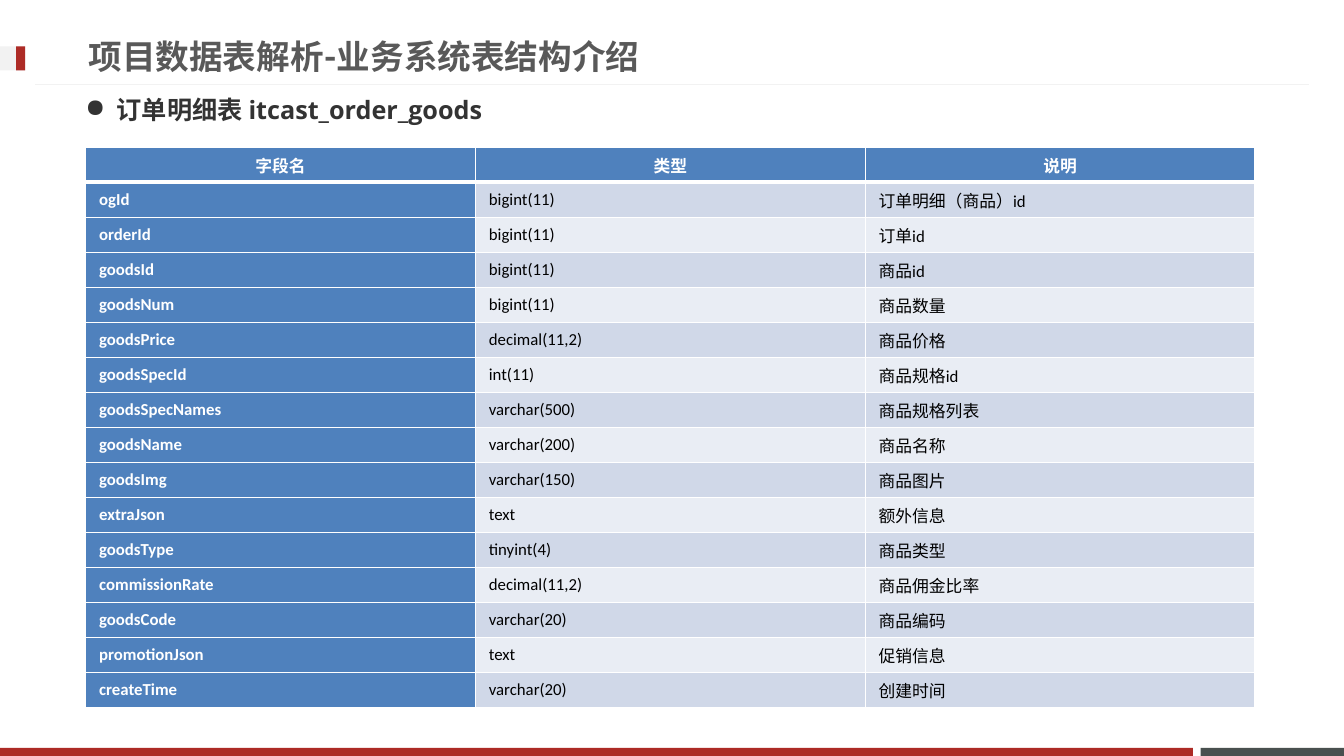
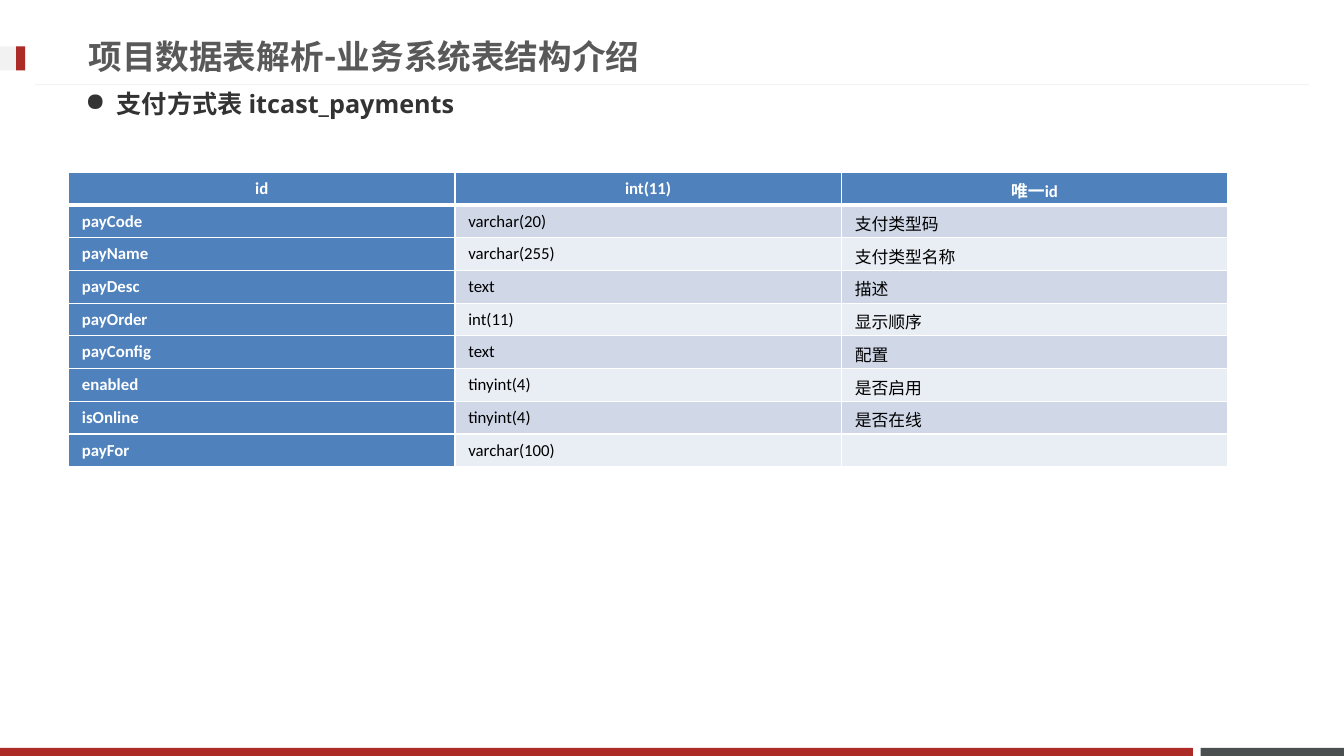
import pptx
import pptx.util
import pptx.dml.color
import pptx.enum.shapes
import pptx.enum.text
import pptx.oxml
import pptx.oxml.ns
from lxml import etree

SHAPE = pptx.enum.shapes.MSO_SHAPE
CONNECTOR = pptx.enum.shapes.MSO_CONNECTOR
ANCHOR = pptx.enum.text.MSO_ANCHOR
ALIGN = pptx.enum.text.PP_ALIGN
FIT = pptx.enum.text.MSO_AUTO_SIZE
Pt = pptx.util.Pt
qn = pptx.oxml.ns.qn


def rgb(value):
    return pptx.dml.color.RGBColor.from_string(value)


class Deck:
    """Shared style and current slide; places are percentages of the slide."""

    RED, SLATE, PALE, WHITE = "AD2B26", "49504F", "F2F2F2", "FFFFFF"
    BLUE, BANDS = "4F81BD", ("D0D8E8", "E9EDF4")
    TITLE = {"name": "Roboto", "size": Pt(24), "bold": True, "color": "595959"}
    TOPIC = {"name": "Open Sans", "size": Pt(18), "bold": True, "color": "333333"}
    CELL = {"name": "Calibri", "size": Pt(12), "bold": False, "color": "000000"}
    HEAD = {**CELL, "bold": True, "color": WHITE}

    def __init__(self):
        self.prs = pptx.Presentation()
        self.prs.slide_width = pptx.util.Inches(13.33)
        self.prs.slide_height = pptx.util.Inches(7.5)
        self.s = None

    # Grid helpers
    def x(self, share):
        return round(self.prs.slide_width * share / 100)

    def y(self, share):
        return round(self.prs.slide_height * share / 100)

    def place(self, left, top, width, height):
        return self.x(left), self.y(top), self.x(width), self.y(height)

    # Text
    def add_text(self, p, text, style):
        r = p.add_run()
        r.text = text
        for key, value in style.items():
            if key == "color":
                r.font.color.rgb = rgb(value)
            else:
                setattr(r.font, key, value)

    def textbox(self, box, text, style, **frame):
        tf = self.s.shapes.add_textbox(*self.place(*box)).text_frame
        for key, value in {"word_wrap": True, **frame}.items():
            setattr(tf, key, value)
        p = tf.paragraphs[0]
        self.add_text(p, text, style)
        return p

    # Shapes
    def bar(self, box, color):
        sp = self.s.shapes.add_shape(SHAPE.RECTANGLE, *self.place(*box))
        sp.shadow.inherit = False
        sp.fill.solid()
        sp.fill.fore_color.rgb = rgb(color)
        sp.line.fill.background()

    def rule(self, left, right, top, color):
        sp = self.s.shapes.add_connector(
            CONNECTOR.STRAIGHT, self.x(left), self.y(top), self.x(right), self.y(top))
        sp.line.color.rgb = rgb(color)
        sp.line.width = Pt(0.75)
        etree.SubElement(sp._element.spPr, qn("a:effectLst"))

    # Slide with footer bands, marker and title
    def slide(self, title):
        self.s = self.prs.slides.add_slide(self.prs.slide_layouts[6])
        self.bar((89.33, 98.93, 10.67, 1.07), self.SLATE)
        self.bar((0, 98.93, 88.75, 1.07), self.RED)
        self.rule(2.63, 97.37, 11.2, self.PALE)
        self.bar((0, 6.13, 1.88, 3.2), self.PALE)
        self.bar((1.2, 6.13, 0.68, 3.2), self.RED)
        self.textbox((5.85, 3.6, 71.94, 7.6), title, self.TITLE,
                     vertical_anchor=ANCHOR.MIDDLE)

    def topic(self, top, height, text):
        p = self.textbox((-5.63, top, 50, height), text, self.TOPIC,
                         auto_size=FIT.SHAPE_TO_FIT_TEXT)
        p.level = 3
        pPr = p._p.get_or_add_pPr()
        pPr.set("marL", str(self.x(13.58)))
        pPr.set("indent", str(-self.x(2.33)))
        etree.SubElement(pPr, qn("a:buChar")).set("char", "●")

    # Table
    def borders(self, cell, **widths):
        tcPr = cell._tc.get_or_add_tcPr()
        for i, side in enumerate("LRTB"):
            ln = etree.Element(qn(f"a:ln{side}"), w=str(Pt(widths.get(side, 1))))
            fill = etree.SubElement(ln, qn("a:solidFill"))
            etree.SubElement(fill, qn("a:srgbClr"), val=self.WHITE)
            tcPr.insert(i, ln)

    def cell(self, cell, text, row, col):
        heading = row == 0 or col == 0
        frame = {"margin_left": self.x(1), "margin_right": self.x(1),
                 "margin_top": self.y(0.8), "margin_bottom": self.y(0.8),
                 "vertical_anchor": ANCHOR.MIDDLE}
        for key, value in frame.items():
            setattr(cell, key, value)
        cell.fill.solid()
        cell.fill.fore_color.rgb = rgb(self.BLUE if heading else self.BANDS[(row - 1) % 2])
        self.borders(cell, **{0: {"B": 3}, 1: {"T": 3}}.get(row, {}))
        p = cell.text_frame.paragraphs[0]
        if row == 0:
            p.alignment = ALIGN.CENTER
        if text:
            self.add_text(p, text, self.HEAD if heading else self.CELL)
        else:
            end = etree.SubElement(p._p, qn("a:endParaRPr"))
            end.set("sz", str(self.CELL["size"].centipoints))

    def table(self, box, rows):
        left, top, width, height = self.place(*box)
        table = self.s.shapes.add_table(
            len(rows), len(rows[0]), left, top, width, height).table
        for col in table.columns:
            col.width = width // len(rows[0])
        for i, row in enumerate(rows):
            table.rows[i].height = height // len(rows)
            for j, text in enumerate(row):
                self.cell(table.cell(i, j), text, i, j)


TITLE = "项目数据表解析-业务系统表结构介绍"

ORDER_GOODS = [
    ("字段名", "类型", "说明"),
    ("ogId", "bigint(11)", "订单明细（商品）id"),
    ("orderId", "bigint(11)", "订单id"),
    ("goodsId", "bigint(11)", "商品id"),
    ("goodsNum", "bigint(11)", "商品数量"),
    ("goodsPrice", "decimal(11,2)", "商品价格"),
    ("goodsSpecId", "int(11)", "商品规格id"),
    ("goodsSpecNames", "varchar(500)", "商品规格列表"),
    ("goodsName", "varchar(200)", "商品名称"),
    ("goodsImg", "varchar(150)", "商品图片"),
    ("extraJson", "text", "额外信息"),
    ("goodsType", "tinyint(4)", "商品类型"),
    ("commissionRate", "decimal(11,2)", "商品佣金比率"),
    ("goodsCode", "varchar(20)", "商品编码"),
    ("promotionJson", "text", "促销信息"),
    ("createTime", "varchar(20)", "创建时间"),
]

PAYMENTS = [
    ("id", "int(11)", "唯一id"),
    ("payCode", "varchar(20)", "支付类型码"),
    ("payName", "varchar(255)", "支付类型名称"),
    ("payDesc", "text", "描述"),
    ("payOrder", "int(11)", "显示顺序"),
    ("payConfig", "text", "配置"),
    ("enabled", "tinyint(4)", "是否启用"),
    ("isOnline", "tinyint(4)", "是否在线"),
    ("payFor", "varchar(100)", ""),
]


def main():
    deck = Deck()

    # Order details
    deck.slide(TITLE)
    deck.topic(11.87, 5.33, "订单明细表 itcast_order_goods")
    deck.table((6.38, 19.47, 87, 74.13), ORDER_GOODS)

    # Payment methods
    deck.slide(TITLE)
    deck.topic(11.07, 8.93, "支付方式表 itcast_payments")
    deck.table((5.1, 22.8, 86.25, 38.93), PAYMENTS)

    deck.prs.save("out.pptx")


if __name__ == "__main__":
    main()
